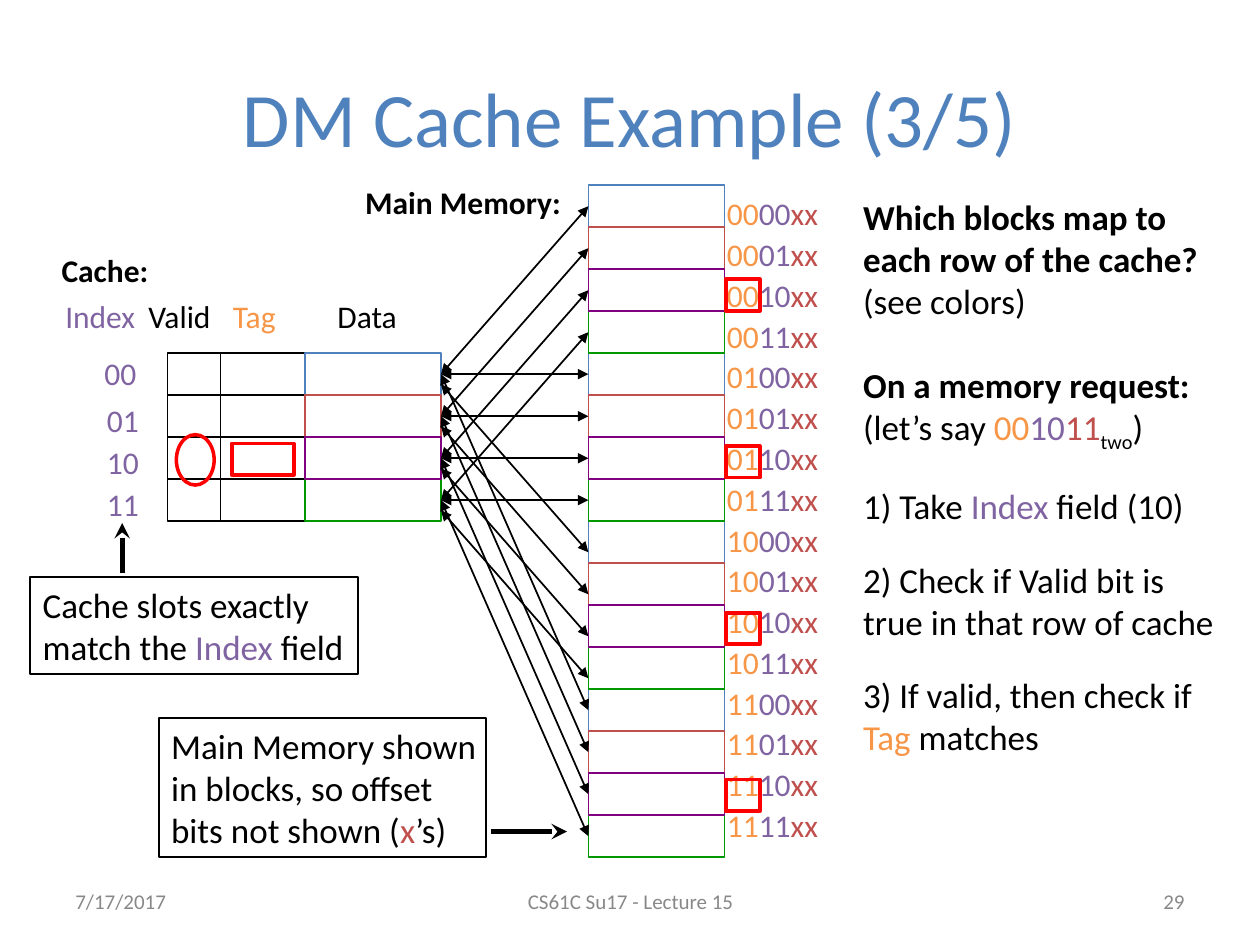
from lxml.etree import SubElement
from pptx import Presentation
from pptx.dml.color import RGBColor
from pptx.enum.shapes import MSO_CONNECTOR as Link, MSO_SHAPE as Shape
from pptx.enum.text import MSO_ANCHOR as Anchor, MSO_AUTO_SIZE as Fit, PP_ALIGN as Align
from pptx.oxml.ns import qn
from pptx.util import Inches, Pt

FONT = "Calibri"
BLACK, GRAY, RED, BLUE = "000000", "888888", "FF0000", "4F81BD"
TAG, INDEX, OFFSET = "F79646", "8064A2", "C0504D"
ROW_COLORS = [BLUE, "C0504D", "800080", "009900"]
DRAW_ORDER = [0, 3, 1, 2]
BITS = ["00", "01", "10", "11"]

ROW = 1 / 3
MEMORY_X, MEMORY_Y = 4.67, 1.47
VALID_X, TAG_X, DATA_X = 1.33, 1.75, 2.42
CACHE_Y = MEMORY_Y + 4 * ROW
DATA_W = 1.08
CHOSEN_ROW = 2

TITLE = "DM Cache Example (3/5)"
FOOTER = [
    ("7/17/2017", 0.5, 2.33, Align.LEFT),
    ("CS61C Su17 - Lecture 15", 3.42, 3.17, Align.CENTER),
    ("29", 7.17, 2.33, Align.RIGHT),
]
LABELS = [
    ("Main Memory:", 2.8, 1.4, 1.8, BLACK, True),
    ("Cache:", 0.39, 1.94, 0.9, BLACK, True),
    ("Index", 0.42, 2.31, 0.76, INDEX, False),
    ("Valid", 1.08, 2.31, 0.76, BLACK, False),
    ("Tag", 1.75, 2.31, 0.73, TAG, False),
    ("Data", 2.58, 2.31, 0.73, BLACK, False),
    ("00", 0.73, 2.76, 0.46, INDEX, False),
] + [
    (bits, 0.75, CACHE_Y + row * ROW, 0.46, INDEX, False)
    for row, bits in enumerate(BITS) if row
]
STEPS = [
    (0, [("Which blocks map to each row of the cache?", BLACK, True)]),
    (0, [("(see colors)", BLACK)]),
    (24, [("On a memory request:", BLACK, True), ("\n", BLACK), ("(let’s say ", BLACK),
          ("00", TAG), ("10", INDEX), ("11", OFFSET), ("two", BLACK), (")", BLACK)]),
    (18, [("1) Take ", BLACK), ("Index", INDEX), (" field (10)", BLACK)]),
    (18, [("2) Check if Valid bit is true in that row of cache", BLACK)]),
    (18, [("3) If valid, then check if ", BLACK), ("Tag", TAG), (" matches", BLACK)]),
]
CALLOUTS = [
    ([("Cache slots exactly match the ", BLACK), ("Index", INDEX), (" field", BLACK)],
     (0.24, 4.58, 2.6, 0.77), 0.1, (0.97, 4.55, 0.97, 4.15)),
    ([("Main Memory shown in blocks, so offset bits not shown (", BLACK),
      ("x", OFFSET), ("’s)", BLACK)],
     (1.26, 5.7, 2.6, 1.1), 0, (3.9, 6.6, 4.5, 6.6)),
]


def rgb(color):
    return RGBColor.from_string(color)


def style(font, size, color, bold=False):
    font.name, font.size, font.bold = FONT, Pt(size), bold
    font.color.rgb = rgb(color)


def write_runs(paragraph, parts, size):
    for text, color, *bold in parts:
        if text == "\n":
            paragraph.add_line_break()
            continue
        run = paragraph.add_run()
        run.text = text
        style(run.font, size, color, bool(bold))
        if text == "two":
            run.font._element.set("baseline", "-25000")


def add_label(slide, text, x, y, width, size, color, bold=False, align=Align.LEFT):
    label = slide.shapes.add_textbox(*map(Inches, (x, y, width, 0.4)))
    paragraph = label.text_frame.paragraphs[0]
    paragraph.text, paragraph.alignment = text, align
    style(paragraph.runs[0].font, size, color, bold)
    return label


def add_outline(slide, box, color, width=1, fill=None, kind=Shape.RECTANGLE):
    outline = slide.shapes.add_shape(kind, *map(Inches, box))
    outline.shadow.inherit = False
    if fill:
        outline.fill.solid()
        outline.fill.fore_color.rgb = rgb(fill)
    else:
        outline.fill.background()
    outline.line.color.rgb, outline.line.width = rgb(color), Pt(width)
    return outline


def add_arrow(slide, ends, width, **heads):
    arrow = slide.shapes.add_connector(Link.STRAIGHT, *map(Inches, ends))
    arrow.line.color.rgb, arrow.line.width = rgb(BLACK), Pt(width)
    line = arrow.line._get_or_add_ln()
    for end, kind in heads.items():
        SubElement(line, qn(f"a:{end}"), type=kind)
    SubElement(arrow._element.spPr, qn("a:effectLst"))
    return arrow


def add_blocks(slide, x, y, count):
    rows = [row for color in DRAW_ORDER for row in range(color, count, 4)]
    return {row: add_outline(slide, (x, y + row * ROW, DATA_W, ROW),
                             ROW_COLORS[row % 4], fill="FFFFFF") for row in rows}


def add_mapping(slide, cache, memory):
    for block in range(16):
        group, row = divmod(block, 4)
        shift = 0.08 if group == 2 else 0
        ends = (DATA_X + DATA_W, CACHE_Y + (row + 0.5) * ROW + shift,
                MEMORY_X, MEMORY_Y + (block + 0.5) * ROW + shift)
        arrow = add_arrow(slide, ends, 1, headEnd="triangle", tailEnd="triangle")
        if not shift:
            arrow.begin_connect(cache[row], 3)
            arrow.end_connect(memory[block], 1)


def add_addresses(slide):
    addresses = slide.shapes.add_textbox(*map(Inches, (5.67, MEMORY_Y, 1.08, 5.43))).text_frame
    addresses.word_wrap = True
    for block in range(16):
        paragraph = addresses.add_paragraph() if block else addresses.paragraphs[0]
        paragraph.line_spacing = 1.08
        tag, index = divmod(block, 4)
        write_runs(paragraph, [(BITS[tag], TAG), (BITS[index], INDEX), ("xx", OFFSET)], 18)


def place(holder, x, y, width, height):
    holder.left, holder.top, holder.width, holder.height = map(Inches, (x, y, width, height))
    holder.text_frame.auto_size = Fit.NONE


def add_steps(holder):
    place(holder, 6.75, 1.5, 3, 4.56)
    frame = holder.text_frame
    for number, (before, parts) in enumerate(STEPS):
        paragraph = frame.add_paragraph() if number else frame.paragraphs[0]
        props = paragraph._p.get_or_add_pPr()
        props.set("marL", "0")
        props.set("indent", "0")
        SubElement(props, qn("a:buNone"))
        paragraph.space_before = Pt(before)
        write_runs(paragraph, parts, 20)


def main():
    deck = Presentation()
    deck.slide_width, deck.slide_height = Inches(10), Inches(7.5)
    slide = deck.slides.add_slide(deck.slide_layouts[1])
    title, steps = slide.placeholders
    place(title, 0.5, 0.3, 9, 1.25)
    title.text_frame.text = TITLE
    style(title.text_frame.paragraphs[0].runs[0].font, 44, BLUE)
    add_steps(steps)

    for text, x, width, align in FOOTER:
        label = add_label(slide, text, x, 6.95, width, 12, GRAY, align=align)
        label.text_frame.word_wrap = True
        label.text_frame.vertical_anchor = Anchor.MIDDLE
    for text, x, y, width, color, bold in LABELS:
        add_label(slide, text, x, y, width, 18, color, bold)

    for row in range(4):
        for left, right in ((VALID_X, TAG_X), (TAG_X, DATA_X)):
            add_outline(slide, (left, CACHE_Y + row * ROW, right - left, ROW), BLACK)
    memory = add_blocks(slide, MEMORY_X, MEMORY_Y, 16)
    cache = add_blocks(slide, DATA_X, CACHE_Y, 4)
    add_mapping(slide, cache, memory)
    add_addresses(slide)

    for group in range(4):
        y = MEMORY_Y + (CHOSEN_ROW + 4 * group) * ROW + 0.08 - 0.01 * group
        add_outline(slide, (5.76, y, 0.27, 0.25), RED, 2.25)
    add_outline(slide, (1.84, 3.52, 0.49, 0.25), RED, 2.25)
    add_outline(slide, (1.4, 3.45, 0.3, 0.4), RED, 2, kind=Shape.OVAL)

    for parts, box, right_inset, ends in CALLOUTS:
        frame = add_outline(slide, box, BLACK).text_frame
        frame.word_wrap, frame.vertical_anchor = True, Anchor.TOP
        frame.margin_right = Inches(right_inset)
        frame.paragraphs[0].alignment = Align.LEFT
        write_runs(frame.paragraphs[0], parts, 20)
        add_arrow(slide, ends, 3, tailEnd="stealth")

    deck.save("out.pptx")


if __name__ == "__main__":
    main()
